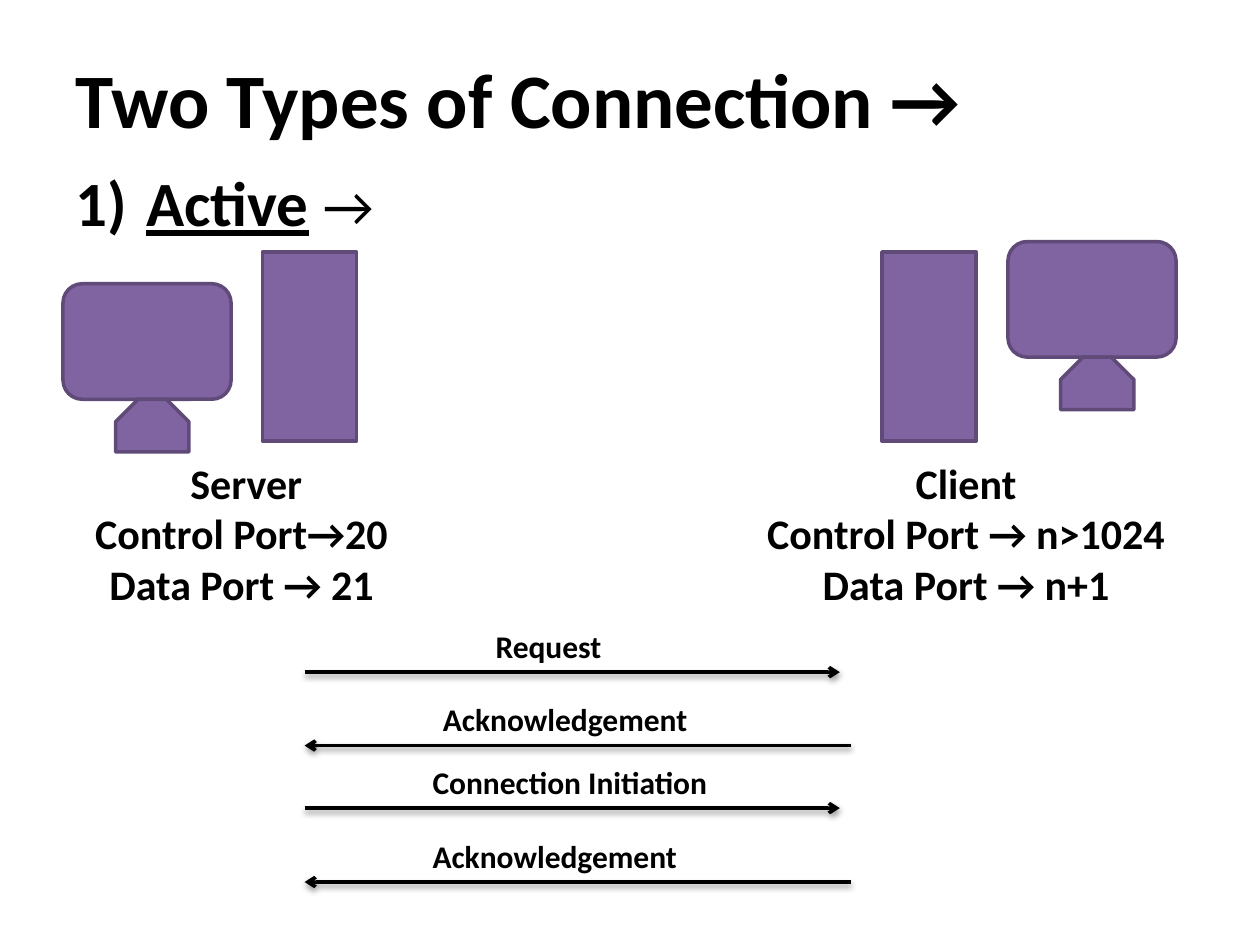
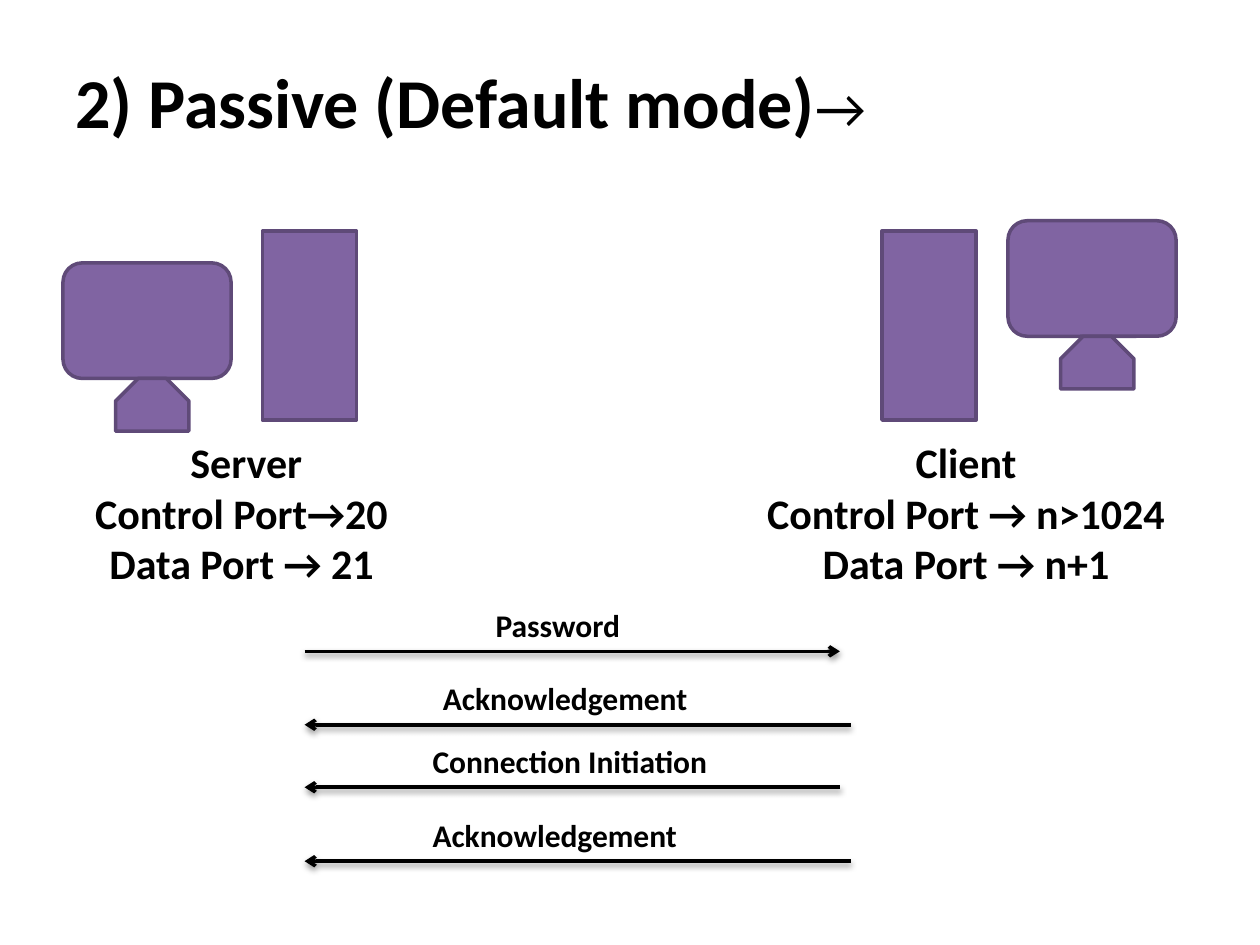
import lxml.etree
import pptx
import pptx.dml.color
import pptx.enum.shapes
import pptx.enum.text
import pptx.oxml
import pptx.oxml.ns
import pptx.util

Cm, Pt = pptx.util.Cm, pptx.util.Pt
colour = pptx.dml.color.RGBColor.from_string
SHAPES = pptx.enum.shapes.MSO_SHAPE
ALIGN = pptx.enum.text.PP_ALIGN
ANCHOR = pptx.enum.text.MSO_ANCHOR
AUTO_SIZE = pptx.enum.text.MSO_AUTO_SIZE
qn = pptx.oxml.ns.qn

FONT = "Calibri"
BLACK, PURPLE, DARK_PURPLE = "000000", "8064A2", "5F4A78"
LINE_WIDTH = Pt(2)
SHADOW = (
    f'<a:effectLst {pptx.oxml.ns.nsdecls("a")}>'
    '<a:outerShdw blurRad="40000" dist="20000" dir="5400000" rotWithShape="0">'
    f'<a:srgbClr val="{BLACK}"><a:alpha val="38000"/></a:srgbClr>'
    "</a:outerShdw></a:effectLst>"
)


def add_text(slide, paragraphs, left, top, width, height, size=18, align=ALIGN.LEFT,
             anchor=ANCHOR.TOP, grow=True, indent=0, numbered=False):
    """Each paragraph is a list of (text, changes to the bold run format) pairs."""
    box = slide.shapes.add_textbox(Cm(left), Cm(top), Cm(width), Cm(height))
    frame = box.text_frame
    frame.word_wrap = True
    frame.auto_size = AUTO_SIZE.SHAPE_TO_FIT_TEXT if grow else AUTO_SIZE.NONE
    frame.vertical_anchor = anchor
    for index, runs in enumerate(paragraphs):
        paragraph = frame.add_paragraph() if index else frame.paragraphs[0]
        paragraph.alignment = align
        if indent:
            properties = paragraph._p.get_or_add_pPr()
            properties.set("marL", str(Cm(indent)))
            properties.set("indent", str(-Cm(indent)))
            if numbered:
                lxml.etree.SubElement(properties, qn("a:buAutoNum"), type="arabicParenR")
        for text, changes in runs:
            run = paragraph.add_run()
            run.text = text
            run.font.name = FONT
            run.font.size = Pt(changes.get("size", size))
            run.font.bold = changes.get("bold", True)
            run.font.underline = changes.get("underline", False)
            run.font.color.rgb = colour(BLACK)


def add_computer_part(shapes, kind, left, top, width, height):
    shape = shapes.add_shape(kind, Cm(left), Cm(top), Cm(width), Cm(height))
    shape.shadow.inherit = False
    shape.fill.solid()
    shape.fill.fore_color.rgb = colour(PURPLE)
    shape.line.color.rgb = colour(DARK_PURPLE)
    shape.line.width = LINE_WIDTH
    return shape


# tower left, monitor left, monitor top, then the caption's left, width, height and lines
COMPUTERS = [
    (17.78, 20.32, 4.87, 14.82, 9.31, 4.36,
     ["Client", "Control Port → n>1024", "Data Port → n+1"]),
    (5.29, 1.27, 5.72, 1.06, 7.62, 3.33,
     [" Server", "Control Port→20", "Data Port → 21"]),
]
SERVER_END, NEAR_CLIENT, FAR_CLIENT = 6.14, 16.93, 17.15
LIGHT_ARROW = ("→", {"size": 32, "bold": False})
ACTIVE_RUNS = [("Active", {"underline": True}), (" ", {}), LIGHT_ARROW]

# label, label left, label width, arrow start, arrow end, arrow height
FIRST_REPLY = ("Acknowledgement", 8.68, 5.72, FAR_CLIENT, SERVER_END, 15.03)
LAST_REPLY = ("Acknowledgement", 8.47, 5.72, FAR_CLIENT, SERVER_END, 17.78)
INITIATION = ("Connection Initiation", 8.47, 6.56)
ACTIVE_MESSAGES = [
    ("Request", 9.74, 2.96, SERVER_END, NEAR_CLIENT, 13.55),
    FIRST_REPLY,
    (*INITIATION, SERVER_END, NEAR_CLIENT, 16.29),
    LAST_REPLY,
]
PASSIVE_MESSAGES = [
    ("Password", 9.74, 3.6, SERVER_END, NEAR_CLIENT, 13.55),
    FIRST_REPLY,
    (*INITIATION, NEAR_CLIENT, SERVER_END, 16.29),
    LAST_REPLY,
]

presentation = pptx.Presentation()
presentation.slide_width = Cm(25.4)
presentation.slide_height = Cm(19.05)
blank_layout = presentation.slide_layouts[6]

active_slide = presentation.slides.add_slide(blank_layout)
add_text(active_slide, [[("Two Types of Connection →", {})]], 1.27, 0.76, 22.86, 2.41,
         size=44, anchor=ANCHOR.MIDDLE, grow=False)
add_text(active_slide, [ACTIVE_RUNS], 1.27, 3.18, 22.86, 14.8,
         size=36, grow=False, indent=1.43, numbered=True)

passive_slide = presentation.slides.add_slide(blank_layout)
add_text(passive_slide, [[("2) Passive (Default mode)", {}), LIGHT_ARROW]],
         1.27, 1.06, 22.86, 15.95, size=40, grow=False, indent=0.95)

# The passive diagram sits a little higher than the active one.
for slide, rise, messages in [(active_slide, 0, ACTIVE_MESSAGES),
                              (passive_slide, 0.42, PASSIVE_MESSAGES)]:
    for (tower_left, monitor_left, monitor_top,
         caption_left, caption_width, caption_height, caption) in COMPUTERS:
        add_computer_part(slide.shapes, SHAPES.RECTANGLE, tower_left, 5.08 - rise, 1.9, 3.81)
        monitor = slide.shapes.add_group_shape()
        add_computer_part(monitor.shapes, SHAPES.ROUNDED_RECTANGLE,
                          monitor_left, monitor_top - rise, 3.39, 2.33)
        stand = add_computer_part(monitor.shapes, SHAPES.SNIP_2_SAME_RECTANGLE,
                                  monitor_left + 1.06, monitor_top + 2.33 - rise, 1.48, 1.06)
        stand.adjustments[0] = 0.43
        add_text(slide, [[(line, {})] for line in caption], caption_left, 9.1 - rise,
                 caption_width, caption_height, size=24, align=ALIGN.CENTER)

    for label, label_left, label_width, start, end, height in messages:
        arrow = slide.shapes.add_connector(
            pptx.enum.shapes.MSO_CONNECTOR.STRAIGHT,
            Cm(start), Cm(height - rise), Cm(end), Cm(height - rise))
        arrow.line.color.rgb = colour(BLACK)
        arrow.line.width = LINE_WIDTH
        lxml.etree.SubElement(arrow.line._get_or_add_ln(), qn("a:tailEnd"), type="arrow")
        arrow._element.spPr.append(pptx.oxml.parse_xml(SHADOW))
        add_text(slide, [[(label, {})]], label_left, height - 1.04 - rise, label_width, 1.03)

presentation.save("out.pptx")
